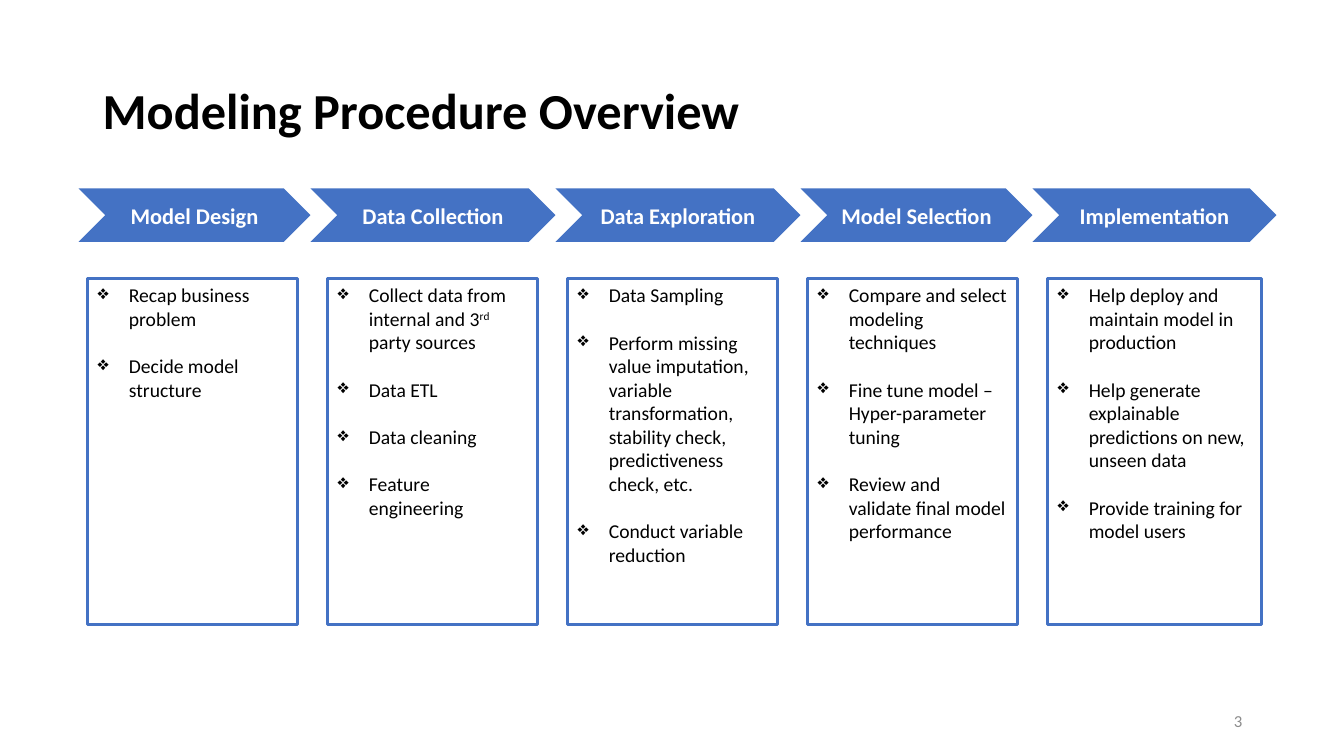
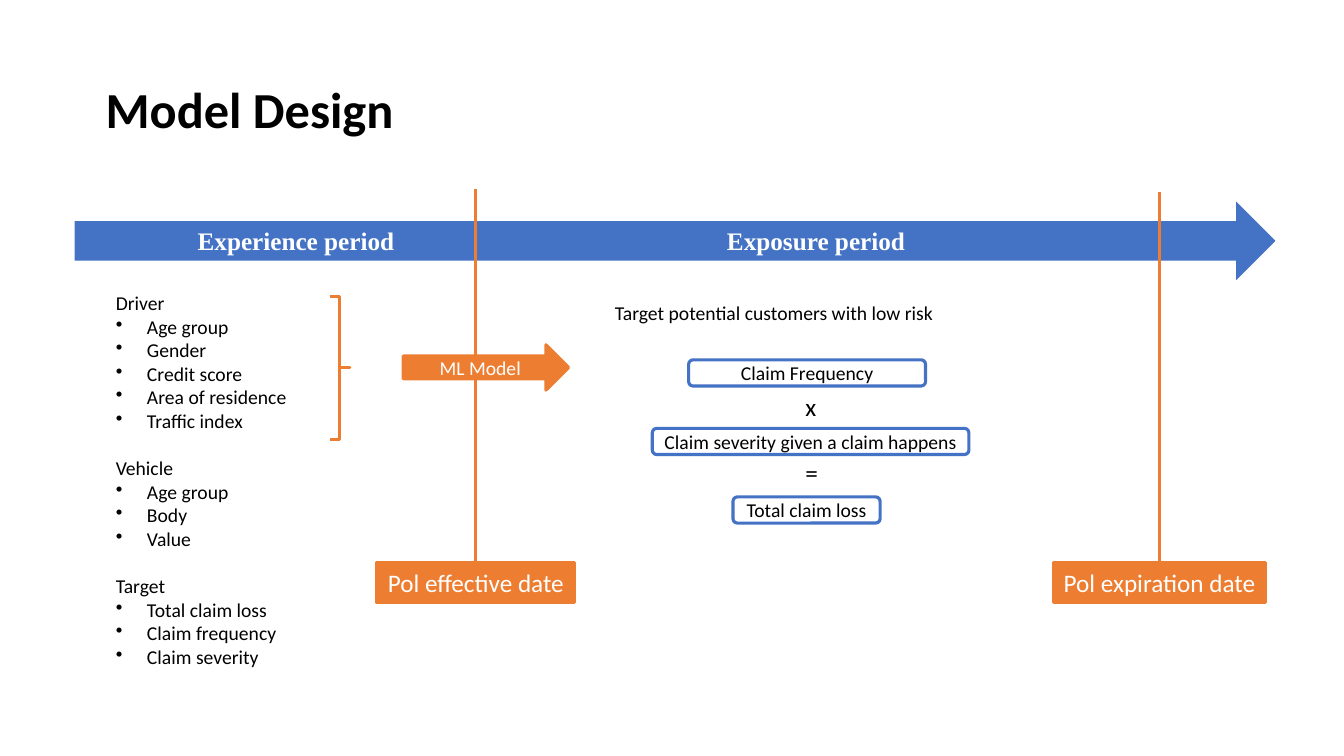
import pptx
import pptx.util
import pptx.dml.color
import pptx.enum.shapes
import pptx.enum.text
import lxml.etree

Inches = pptx.util.Inches
Pt = pptx.util.Pt
SHAPE = pptx.enum.shapes.MSO_SHAPE
ALIGN = pptx.enum.text.PP_ALIGN
ANCHOR = pptx.enum.text.MSO_ANCHOR
qn = pptx.oxml.ns.qn

COLORS = {"blue": "4472C4", "orange": "ED7D31", "black": "000000",
          "white": "FFFFFF", "gray": "8C8C8C"}
LINE_WIDTH = 2.25
BLANK_LINE = 17  # points, the height of one line of 14 pt text


def rgb(name):
    return pptx.dml.color.RGBColor.from_string(COLORS[name])


class Builder:
    """Holds the deck, its style and the current slide."""

    def __init__(self):
        self.deck = pptx.Presentation()
        self.deck.slide_width = Inches(13.33)
        self.deck.slide_height = Inches(7.5)
        self.page = None

    def new_page(self, title, left, top):
        self.page = self.deck.slides.add_slide(self.deck.slide_layouts[6])
        frame = self.text_box(left, top, 11.5, 1.45, ANCHOR.MIDDLE)
        para = self.add_para(frame, title, 36, bold=True)
        para.line_spacing = 0.9

    def add_para(self, frame, text, size=14, color="black", bold=False, align=ALIGN.LEFT,
                 bullet="", before=0, font="Calibri", tab=0):
        """Add a paragraph; text between carets is superscript."""
        para = frame.paragraphs[0]
        if para.runs:
            para = frame.add_paragraph()
        para.alignment = align
        para.space_before = Pt(before)
        props = para._p.get_or_add_pPr()
        if bullet:
            props.set("marL", str(Inches(0.31)))
            props.set("indent", str(-Inches(0.31)))
            lxml.etree.SubElement(props, qn("a:buChar"), char=bullet)
        if tab:
            tabs = lxml.etree.SubElement(props, qn("a:tabLst"))
            lxml.etree.SubElement(tabs, qn("a:tab"), pos=str(Inches(tab)), algn="l")
        para.font.name = font
        para.font.size = Pt(size)
        para.font.bold = bold
        para.font.color.rgb = rgb(color)
        for index, part in enumerate(text.split("^")):
            span = para.add_run()
            span.text = part
            if index % 2:
                span._r.get_or_add_rPr().set("baseline", "30000")
        return para

    def text_box(self, left, top, width, height, anchor=ANCHOR.TOP):
        box = self.page.shapes.add_textbox(
            Inches(left), Inches(top), Inches(width), Inches(height))
        box.text_frame.word_wrap = True
        box.text_frame.vertical_anchor = anchor
        return box.text_frame

    def shape(self, kind, left, top, width, height, fill=None, line=None):
        shape = self.page.shapes.add_shape(
            kind, Inches(left), Inches(top), Inches(width), Inches(height))
        shape.shadow.inherit = False
        if fill:
            shape.fill.solid()
            shape.fill.fore_color.rgb = rgb(fill)
        else:
            shape.fill.background()
        if line:
            shape.line.color.rgb = rgb(line)
            shape.line.width = Pt(LINE_WIDTH)
        else:
            shape.line.fill.background()
        return shape

    def label(self, kind, left, top, width, height, text, fill=None, line=None,
              size=14, color="white", bold=False):
        """Add a shape with centred text."""
        shape = self.shape(kind, left, top, width, height, fill, line)
        frame = shape.text_frame
        frame.margin_left = frame.margin_right = 0
        frame.vertical_anchor = ANCHOR.MIDDLE
        self.add_para(frame, text, size, color, bold, ALIGN.CENTER)
        return shape

    def card(self, left, top, width, height, items):
        """Add an outlined box with a spaced bullet list."""
        shape = self.shape(SHAPE.RECTANGLE, left, top, width, height, "white", "blue")
        shape.text_frame.vertical_anchor = ANCHOR.TOP
        for index, item in enumerate(items):
            self.add_para(shape.text_frame, item, bullet="❖",
                          before=BLANK_LINE if index else 0)

    def marker(self, center, top, box_width, text):
        """Add a date box with a vertical line rising from it."""
        box = self.label(SHAPE.RECTANGLE, center - box_width / 2, 5.58, box_width, 0.4,
                         text, "orange", "orange", size=18)
        line = self.page.shapes.add_connector(
            pptx.enum.shapes.MSO_CONNECTOR.STRAIGHT,
            Inches(center), Inches(top), Inches(center), Inches(5.58))
        line.end_connect(box, 0)
        line.line.color.rgb = rgb("orange")
        line.line.width = Pt(LINE_WIDTH)
        lxml.etree.SubElement(line._element.spPr, qn("a:effectLst"))


STEPS = [
    ("Model Design", 2.3, 2.08, ["Recap business problem", "Decide model structure"]),
    ("Data Collection", 2.43, 2.08, [
        "Collect data from internal and 3^rd^ party sources",
        "Data ETL", "Data cleaning", "Feature engineering"]),
    ("Data Exploration", 2.43, 2.08, [
        "Data Sampling",
        "Perform missing value imputation, variable transformation, "
        "stability check, predictiveness check, etc.",
        "Conduct variable reduction"]),
    ("Model Selection", 2.3, 2.08, [
        "Compare and select modeling techniques",
        "Fine tune model – Hyper-parameter tuning",
        "Review and validate final model performance"]),
    ("Implementation", 2.42, 2.12, [
        "Help deploy and maintain model in production",
        "Help generate explainable predictions on new, unseen data",
        "Provide training for model users"]),
]

FACTORS = {
    "Driver": ["Age group", "Gender", "Credit score", "Area of residence", "Traffic index"],
    "Vehicle": ["Age group", "Body", "Value"],
    "Target": ["Total claim loss", "Claim frequency", "Claim severity"],
}


def build_procedure(builder):
    builder.new_page("Modeling Procedure Overview", 0.92, 0.4)

    # Chevrons run edge to edge, cards keep an equal step
    chevron_left = 0.78
    for index, (name, chevron_width, card_width, items) in enumerate(STEPS):
        builder.label(SHAPE.CHEVRON, chevron_left, 1.87, chevron_width, 0.53, name,
                      "blue", size=16, bold=True)
        builder.card(0.87 + 2.38 * index, 2.76, card_width, 3.44, items)
        chevron_left += chevron_width

    # Page number
    frame = builder.text_box(9.42, 6.95, 3, 0.4, ANCHOR.MIDDLE)
    builder.add_para(frame, "3", 12, "gray", align=ALIGN.RIGHT)


def build_design(builder):
    builder.new_page("Model Design", 0.95, 0.39)

    # Timeline
    band = builder.shape(SHAPE.RIGHT_ARROW, 0.74, 2, 11.91, 0.78, "blue")
    band.text_frame.margin_left = Inches(1.22)
    band.text_frame.vertical_anchor = ANCHOR.MIDDLE
    builder.add_para(band.text_frame, "Experience period\tExposure period", 18, "white",
                     True, font="Times New Roman", tab=5.25)
    builder.marker(4.72, 1.88, 1.96, "Pol effective date")
    builder.marker(11.5, 1.9, 2.11, "Pol expiration date")

    # Factors, bracket and model arrow
    frame = builder.text_box(1.05, 2.84, 3.2, 4.11)
    for index, (heading, items) in enumerate(FACTORS.items()):
        builder.add_para(frame, heading, before=BLANK_LINE if index else 0)
        for item in items:
            builder.add_para(frame, item, bullet="•")
    bracket = builder.shape(SHAPE.RIGHT_BRACE, 3.27, 2.94, 0.2, 1.42, line="orange")
    bracket.adjustments[0] = 0
    bracket.adjustments[1] = 0.5
    builder.label(SHAPE.RIGHT_ARROW, 4, 3.42, 1.64, 0.45, "ML Model", "orange", "orange")

    # Claim formula
    frame = builder.text_box(6, 2.94, 4, 0.57)
    builder.add_para(frame, "Target potential customers with low risk")
    for left, top, width, text in [
            (6.83, 3.57, 2.35, "Claim Frequency"),
            (6.47, 4.25, 3.14, "Claim severity given a claim happens"),
            (7.27, 4.93, 1.46, "Total claim loss")]:
        builder.label(SHAPE.ROUNDED_RECTANGLE, left, top, width, 0.26, text,
                      line="blue", color="black")
    for top, sign in [(3.83, "x"), (4.49, "=")]:
        builder.add_para(builder.text_box(7.89, top, 0.31, 0.4), sign, 18)


def main():
    builder = Builder()
    build_procedure(builder)
    build_design(builder)
    builder.deck.save("out.pptx")


if __name__ == "__main__":
    main()
